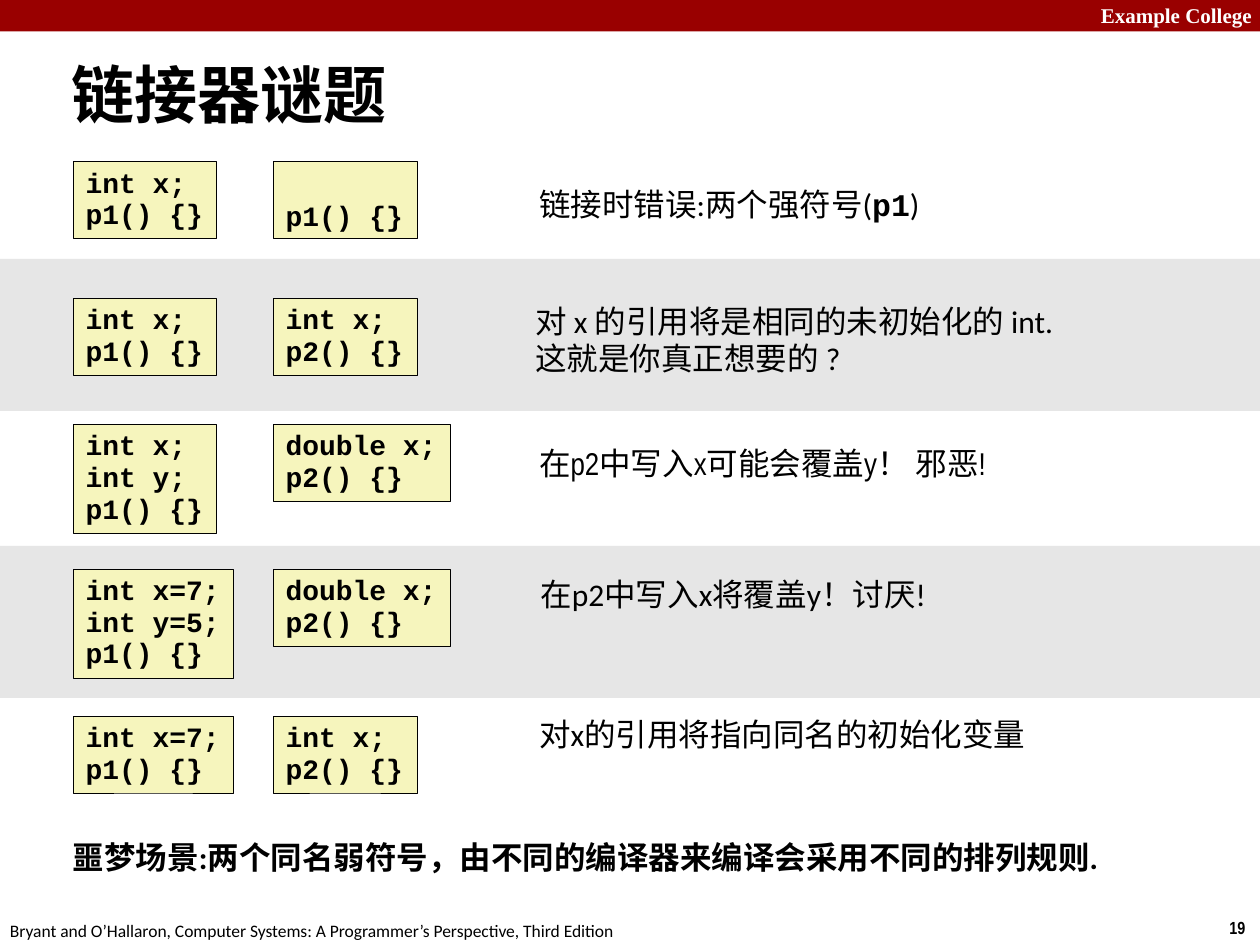
from pptx import Presentation
from pptx.dml.color import RGBColor
from pptx.enum.shapes import MSO_SHAPE
from pptx.enum.text import MSO_ANCHOR, MSO_AUTO_SIZE, PP_ALIGN
from pptx.util import Pt

RECT = MSO_SHAPE.RECTANGLE
TOP, MIDDLE, BOTTOM = MSO_ANCHOR.TOP, MSO_ANCHOR.MIDDLE, MSO_ANCHOR.BOTTOM
LEFT = PP_ALIGN.LEFT
FIXED, GROW = MSO_AUTO_SIZE.NONE, MSO_AUTO_SIZE.SHAPE_TO_FIT_TEXT

BLACK = RGBColor(0x00, 0x00, 0x00)
WHITE = RGBColor(0xFF, 0xFF, 0xFF)
RED = RGBColor(0x99, 0x00, 0x00)
GRAY = RGBColor(0xE6, 0xE6, 0xE6)
CREAM = RGBColor(0xF6, 0xF5, 0xBD)

SANS, NARROW = "Calibri", "Arial Narrow"
MONO, SERIF = "Courier New", "Times New Roman"
WIDTH, HEIGHT = 720, 540
CODE_SIZE, CODE_CHAR, CODE_LINE = 16, 9.6, 18
CODE_COLUMNS = (41.8, 156.2)


class Deck:
    """Holds the presentation, its current slide and the shared style."""

    def __init__(self):
        """Start a presentation with one title-only slide."""
        self.prs = Presentation()
        self.prs.slide_width, self.prs.slide_height = Pt(WIDTH), Pt(HEIGHT)
        self.s = self.prs.slides.add_slide(self.prs.slide_layouts[5])

    def style(self, p, size, font=SANS, bold=False, color=BLACK, spacing=1.0):
        """Format one paragraph."""
        p.alignment, p.line_spacing = LEFT, spacing
        p.font.size, p.font.name = Pt(size), font
        p.font.bold, p.font.color.rgb = bold, color

    def title(self, text, left, top, width, height):
        """Place and fill the title placeholder."""
        sp = self.s.shapes.title
        sp.left, sp.top, sp.width, sp.height = map(Pt, (left, top, width, height))
        tf = sp.text_frame
        tf.text = text
        tf.auto_size, tf.vertical_anchor = FIXED, MIDDLE
        self.style(tf.paragraphs[0], 36, bold=True)

    def rect(self, left, top, width, height, fill):
        """Add a filled rectangle without an outline."""
        sp = self.s.shapes.add_shape(RECT, Pt(left), Pt(top), Pt(width), Pt(height))
        sp.shadow.inherit = False
        sp.fill.solid()
        sp.fill.fore_color.rgb = fill
        sp.line.fill.background()
        return sp

    def code(self, left, top, lines, anchor=TOP, rows=None):
        """Add a code box sized by its text, or by a given number of rows."""
        width = CODE_CHAR * max(map(len, lines)) + 14.8
        sp = self.rect(left, top, width, CODE_LINE * (rows or len(lines)) + 8, CREAM)
        sp.line.color.rgb, sp.line.width = BLACK, Pt(0.26)
        tf = sp.text_frame
        tf.word_wrap, tf.vertical_anchor = False, anchor
        tf.text = "\n".join(lines)
        for p in tf.paragraphs:
            self.style(p, CODE_SIZE, MONO, True, spacing=0.94)

    def text(self, left, top, width, height, paragraphs, size=18, wrap=True, **style):
        """Add a text box; a paragraph is a list of (text, is_code) runs or a string."""
        sp = self.s.shapes.add_textbox(Pt(left), Pt(top), Pt(width), Pt(height))
        tf = sp.text_frame
        tf.word_wrap, tf.auto_size = wrap, GROW
        for i, runs in enumerate(paragraphs):
            p = tf.add_paragraph() if i else tf.paragraphs[0]
            self.style(p, size, **style)
            for text, is_code in [(runs, False)] if isinstance(runs, str) else runs:
                r = p.add_run()
                r.text = text
                if is_code:
                    r.font.name, r.font.bold = MONO, True


def build():
    """Build the linker puzzles slide."""
    deck = Deck()
    deck.rect(0, 0, WIDTH, 18, RED)
    deck.text(622, -2.2, 103, 21.6, ["Example College"], 12, font=SERIF,
              bold=True, color=WHITE)
    deck.text(695.5, 520.6, 24.5, 19.4, ["19"], 10, False, font=NARROW, bold=True)
    deck.text(-1.4, 522, 365.8, 19.4,
              ["Bryant and O’Hallaron, Computer Systems: "
               "A Programmer’s Perspective, Third Edition"], 10, False)
    for top in (148, 312):
        deck.rect(0, top, WIDTH, 86.8, GRAY)
    deck.title("链接器谜题", 33.8, 22.3, 686.2, 61.9)

    puzzles = [
        (92.4, ["int x;", "p1() {}"], ["p1() {}"]),
        (170.6, ["int x;", "p1() {}"], ["int x;", "p2() {}"]),
        (242.6, ["int x;", "int y;", "p1() {}"], ["double x;", "p2() {}"]),
        (325.4, ["int x=7;", "int y=5;", "p1() {}"], ["double x;", "p2() {}"]),
        (409.2, ["int x=7;", "p1() {}"], ["int x;", "p2() {}"]),
    ]
    for top, *modules in puzzles:
        for left, lines in zip(CODE_COLUMNS, modules):
            deck.code(left, top, lines, BOTTOM if len(lines) == 1 else TOP,
                      max(2, len(lines)))

    answers = [
        (301, 103, 234, SANS, [[("链接时错误:两个强符号(", False), ("p1", True),
                                (")", False)]]),
        (298.8, 170, 313.2, SANS, ["对 x 的引用将是相同的未初始化的 int.",
                                   "这就是你真正想要的 ?"]),
        (301, 251.3, 280.8, NARROW, ["在p2中写入x可能会覆盖y！ 邪恶!"]),
        (301.7, 326.2, 236.9, SANS, ["在p2中写入x将覆盖y！讨厌!"]),
        (301, 406.1, 303.1, SANS, ["对x的引用将指向同名的初始化变量"]),
    ]
    for left, top, width, font, paragraphs in answers:
        deck.text(left, top, width, 21.6 * len(paragraphs) + 7.2, paragraphs,
                  font=font, spacing=0.98)
    deck.text(34.6, 476.6, 609.8, 28.8,
              ["噩梦场景:两个同名弱符号，由不同的编译器来编译会采用不同的排列规则."],
              bold=True, spacing=0.98)
    deck.prs.save("out.pptx")


build()
